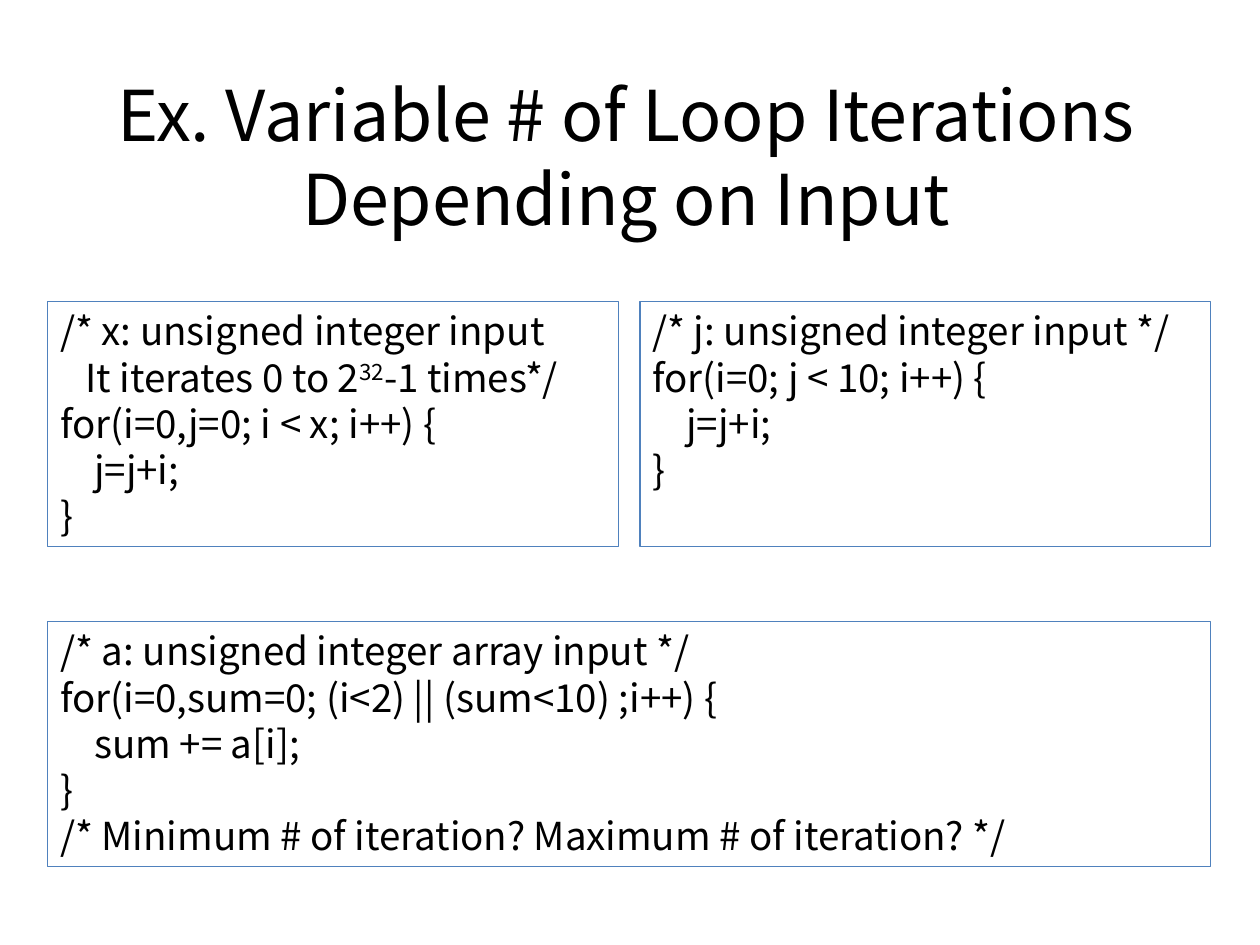
from dataclasses import dataclass

from pptx import Presentation, util as u
from pptx.dml.color import RGBColor
from pptx.enum import shapes, text


@dataclass(frozen=True)
class Theme:
    """Colours, font and type sizes of the slide."""
    font: str = "Noto Sans CJK KR"
    ink: RGBColor = RGBColor(0, 0, 0)
    border: RGBColor = RGBColor(0x4F, 0x81, 0xBD)
    title: int = 40
    code: int = 22


class Deck:
    """Slide builder that holds the theme and the current slide."""

    def __init__(self, prs, theme):
        self.theme = theme
        self.s = prs.slides.add_slide(prs.slide_layouts[6])

    def run(self, p, content, size, raised=False):
        r = p.add_run()
        r.text = content
        r.font.name, r.font.size = self.theme.font, u.Pt(size)
        r.font.color.rgb = self.theme.ink
        if raised:
            r.font._element.set("baseline", "30000")

    def title(self, box, content):
        sp = self.s.shapes.add_textbox(*map(u.Inches, box))
        tf = sp.text_frame
        tf.word_wrap = True
        tf.vertical_anchor = text.MSO_ANCHOR.MIDDLE
        p = tf.paragraphs[0]
        p.alignment = text.PP_ALIGN.CENTER
        self.run(p, content, self.theme.title)

    def code(self, box, lines):
        sp = self.s.shapes.add_shape(shapes.MSO_SHAPE.RECTANGLE, *map(u.Inches, box))
        sp.shadow.inherit = False
        sp.fill.background()
        sp.line.color.rgb, sp.line.width = self.theme.border, u.Pt(0.75)
        tf = sp.text_frame
        tf.word_wrap = True
        tf.vertical_anchor = text.MSO_ANCHOR.TOP
        for i, (indent, *parts) in enumerate(lines):
            p = tf.add_paragraph() if i else tf.paragraphs[0]
            p.alignment = text.PP_ALIGN.LEFT
            if indent:
                p._p.get_or_add_pPr().set("marL", str(u.Inches(indent)))
            for k, part in enumerate(parts):
                self.run(p, part, self.theme.code, raised=k == 1)


def main():
    prs = Presentation()
    prs.slide_width, prs.slide_height = u.Inches(10), u.Inches(7.5)
    deck = Deck(prs, Theme())
    left, width, gap, height = 0.38, 9.23, 0.17, 1.95
    top, bottom = 2.39, 4.93
    half = (width - gap) / 2
    comment, body = 0.2, 0.27

    deck.title((0.47, 0.61, 9, 1.25), "Ex. Variable # of Loop Iterations Depending on Input")
    deck.code((left, top, half, height), [
        (0, "/* x: unsigned integer input"),
        (comment, "It iterates 0 to 2", "32", "-1 times*/"),
        (0, "for(i=0,j=0; i < x; i++) {"),
        (body, "j=j+i;"),
        (0, "}"),
    ])
    deck.code((left + half + gap, top, half, height), [
        (0, "/* j: unsigned integer input */"),
        (0, "for(i=0; j < 10; i++) {"),
        (body, "j=j+i;"),
        (0, "}"),
    ])
    deck.code((left, bottom, width, height), [
        (0, "/* a: unsigned integer array input */"),
        (0, "for(i=0,sum=0; (i<2) || (sum<10) ;i++) {"),
        (body, "sum += a[i];"),
        (0, "}"),
        (0, "/* Minimum # of iteration? Maximum # of iteration? */"),
    ])
    prs.save("out.pptx")


if __name__ == "__main__":
    main()
